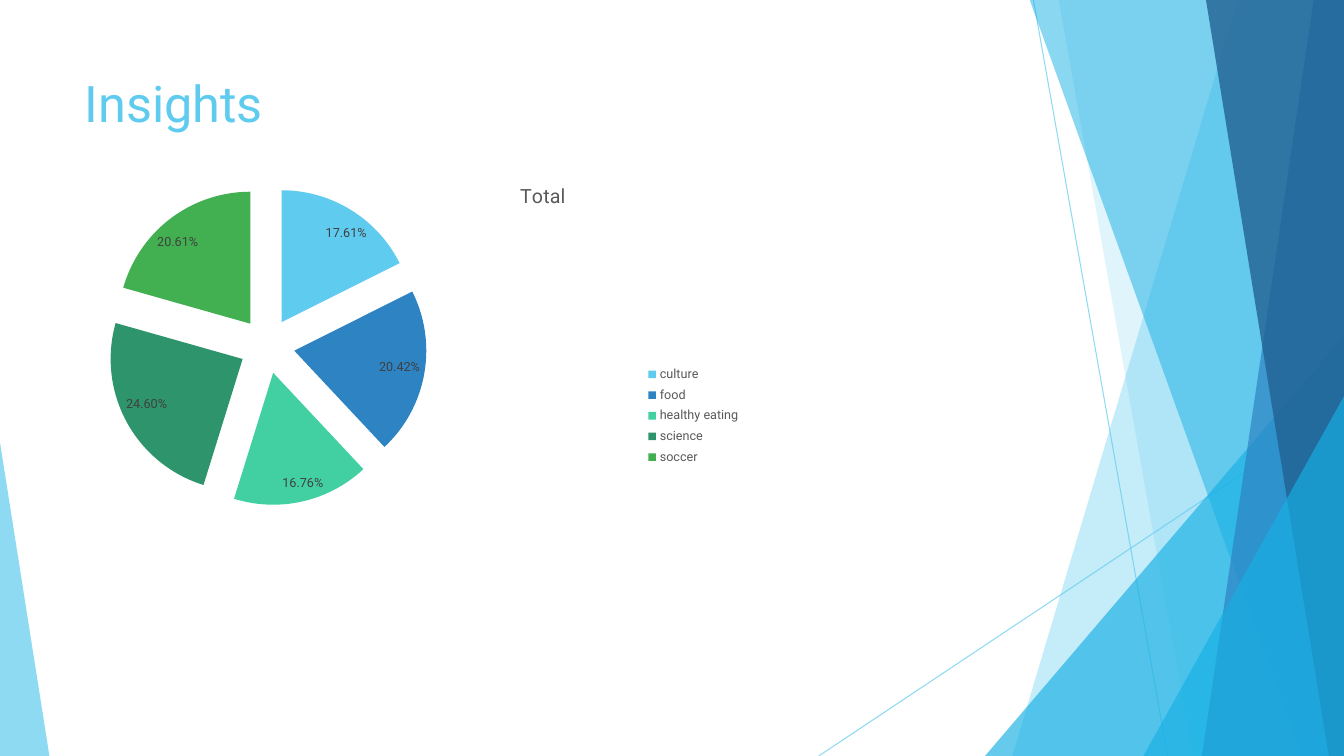
from dataclasses import dataclass

from pptx import Presentation
from pptx.chart.chart import Chart
from pptx.chart.data import CategoryChartData
from pptx.dml.color import RGBColor
from pptx.enum.chart import XL_CHART_TYPE, XL_LABEL_POSITION, XL_LEGEND_POSITION
from pptx.enum.shapes import MSO_CONNECTOR, MSO_SHAPE
from pptx.enum.text import MSO_ANCHOR, MSO_AUTO_SIZE, PP_ALIGN
from pptx.oxml import parse_xml
from pptx.oxml.ns import nsdecls, qn
from pptx.slide import Slide
from pptx.text.text import Font
from pptx.util import Inches, Pt

WIDTH, HEIGHT, TOP = 13.33, 7.5, -0.01
FONT = "Roboto"
COLORS = {
    "sky": "5FCBEF", "blue": "2E83C3", "mint": "42D0A2", "pine": "2E946B",
    "green": "42B051", "azure": "17B0E4", "navy": "226292",
    "gray": "595959", "dark": "404040", "black": "000000",
}


@dataclass
class Ray:
    start: tuple[float, float]
    end: tuple[float, float]


@dataclass
class Band:
    """Panel with a slanted left side, reaching the right slide edge."""
    upper: float
    lower: float
    color: str
    alpha: int


@dataclass
class Wedge:
    """Triangle standing on the bottom slide edge."""
    left: float
    top: float
    width: float
    peak: float
    color: str
    alpha: int


@dataclass
class Slice:
    name: str
    share: float
    color: str


RAYS = [Ray((10.25, 0), (11.58, HEIGHT)), Ray((WIDTH, 4.03), (8.12, HEIGHT))]
PANELS = [
    Band(12.28, 10.04, "sky", 36),
    Band(10.5, 11.83, "sky", 20),
    Wedge(9.77, 3.33, 3.56, 1, "azure", 66),
    Band(10.21, 12.91, "azure", 50),
    Band(13.03, 11.92, "blue", 70),
    Band(11.96, 13.18, "navy", 80),
    Wedge(11.34, 3.93, 1.99, 1, "azure", 66),
    Wedge(0, 4.39, 0.49, 0, "sky", 70),
]
SLICES = [
    Slice("culture", 0.1761, "sky"),
    Slice("food", 0.2042, "blue"),
    Slice("healthy eating", 0.1676, "mint"),
    Slice("science", 0.2460, "pine"),
    Slice("soccer", 0.2061, "green"),
]


def rgb(name: str) -> RGBColor:
    return RGBColor.from_string(COLORS[name])


def style(font: Font, size: float, color: str) -> None:
    for key, value in {"name": FONT, "size": Pt(size), "bold": False}.items():
        setattr(font, key, value)
    font.color.rgb = rgb(color)


def fade(shape, alpha: int) -> None:
    """Set the opacity of the shape's first solid colour, in percent."""
    tint = shape.element.spPr.find(".//" + qn("a:srgbClr"))
    tint.append(parse_xml(f'<a:alpha {nsdecls("a")} val="{alpha * 1000}"/>'))


def draw_ray(slide: Slide, ray: Ray) -> None:
    points = [Inches(n) for n in (*ray.start, *ray.end)]
    line = slide.shapes.add_connector(MSO_CONNECTOR.STRAIGHT, *points)
    line.line.color.rgb = rgb("sky")
    line.line.width = Pt(0.75)
    fade(line, 70)
    line.element.spPr.append(parse_xml(f'<a:effectLst {nsdecls("a")}/>'))


def draw_panel(slide: Slide, panel: Band | Wedge) -> None:
    if isinstance(panel, Band):
        corners = [(panel.upper, TOP), (WIDTH, TOP),
                   (WIDTH, HEIGHT), (panel.lower, HEIGHT)]
        first, *rest = [(Inches(x), Inches(y)) for x, y in corners]
        path = slide.shapes.build_freeform(*first)
        path.add_line_segments(rest, close=True)
        shape = path.convert_to_shape()
    else:
        box = (panel.left, panel.top, panel.width, HEIGHT - panel.top)
        shape = slide.shapes.add_shape(
            MSO_SHAPE.ISOSCELES_TRIANGLE, *[Inches(n) for n in box])
        shape.adjustments[0] = panel.peak
    shape.shadow.inherit = False
    shape.line.fill.background()
    shape.fill.solid()
    shape.fill.fore_color.rgb = rgb(panel.color)
    fade(shape, panel.alpha)


def place(chart: Chart, tag: str, index: int, box: dict[str, float]) -> None:
    """Give a chart part a fixed place, in fractions of the chart."""
    part = chart.element.find(".//" + qn(tag))
    for old in part.findall(qn("c:layout")):
        part.remove(old)
    target = '<c:layoutTarget val="inner"/>' if tag == "c:plotArea" else ""
    modes = '<c:xMode val="edge"/><c:yMode val="edge"/>'
    sides = "".join(f'<c:{k} val="{v}"/>' for k, v in box.items())
    part.insert(index, parse_xml(
        f'<c:layout {nsdecls("c")}><c:manualLayout>{target}{modes}{sides}'
        "</c:manualLayout></c:layout>"))


def draw_title(slide: Slide) -> None:
    title = slide.shapes.title
    box = {"left": 0.74, "top": 0.67, "width": 9.4, "height": 1.44}
    for key, value in box.items():
        setattr(title, key, Inches(value))
    frame = title.text_frame
    frame.text = "Insights"
    look = {"word_wrap": True, "auto_size": MSO_AUTO_SIZE.NONE,
            "vertical_anchor": MSO_ANCHOR.TOP}
    for key, value in look.items():
        setattr(frame, key, value)
    text = frame.paragraphs[0]
    text.alignment = PP_ALIGN.LEFT
    style(text.runs[0].font, 36, "sky")


def draw_chart(slide: Slide) -> None:
    data = CategoryChartData(number_format="0.00%")
    data.categories = [s.name for s in SLICES]
    data.add_series("Total", [s.share for s in SLICES])
    box = [Inches(n) for n in (0.41, 1.63, 9.95, 4.34)]
    chart = slide.shapes.add_chart(XL_CHART_TYPE.PIE, *box, data).chart
    style(chart.font, 10, "black")

    # Heading and legend
    chart.has_title = True
    head = chart.chart_title
    head.include_in_layout = False
    head.text_frame.text = "Total"
    style(head.text_frame.paragraphs[0].runs[0].font, 14, "gray")
    chart.has_legend = True
    chart.legend.position = XL_LEGEND_POSITION.RIGHT
    chart.legend.include_in_layout = False
    style(chart.legend.font, 9, "gray")
    place(chart, "c:legend", 1, {"x": 0.6, "y": 0.45, "w": 0.1, "h": 0.25})
    place(chart, "c:plotArea", 0, {"x": 0.06, "y": 0.05, "w": 0.33, "h": 0.73})

    # Exploded slices
    plot = chart.plots[0]
    plot.vary_by_categories = True
    series = plot.series[0]
    for i, part in enumerate(SLICES):
        fill = series.points[i].format.fill
        fill.solid()
        fill.fore_color.rgb = rgb(part.color)
    chart.element.find(".//" + qn("c:ser")).find(qn("c:tx")).addnext(
        parse_xml(f'<c:explosion {nsdecls("c")} val="21"/>'))

    # Value labels
    labels = series.data_labels
    look = {"show_value": True, "show_percentage": False,
            "number_format": "0.00%", "number_format_is_linked": False,
            "position": XL_LABEL_POSITION.BEST_FIT}
    for key, value in look.items():
        setattr(labels, key, value)
    style(labels.font, 9, "dark")


def main() -> None:
    deck = Presentation()
    deck.slide_width, deck.slide_height = Inches(WIDTH), Inches(HEIGHT)
    slide = deck.slides.add_slide(deck.slide_layouts[5])
    for ray in RAYS:
        draw_ray(slide, ray)
    for panel in PANELS:
        draw_panel(slide, panel)
    draw_title(slide)
    draw_chart(slide)
    deck.save("out.pptx")


if __name__ == "__main__":
    main()
